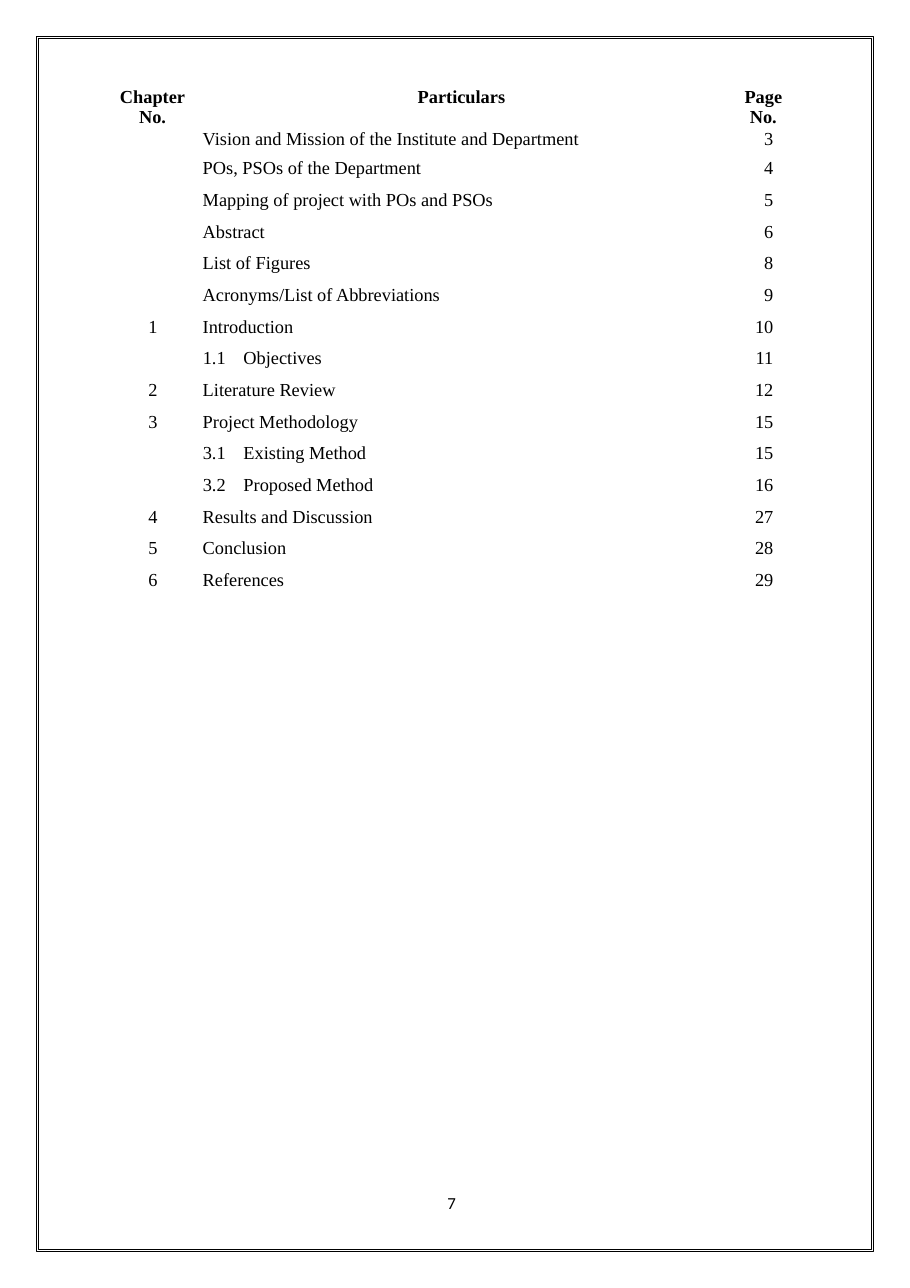
from dataclasses import dataclass

from pptx import Presentation
from pptx.dml.color import RGBColor
from pptx.enum.shapes import MSO_SHAPE as SHAPE
from pptx.enum.text import PP_ALIGN as ALIGN
from pptx.util import Inches, Pt

WIDTH, HEIGHT = Inches(8.26), Inches(11.69)


@dataclass(frozen=True)
class Theme:
    ink: RGBColor = RGBColor(0, 0, 0)
    body_font: str = "Times New Roman"
    folio_font: str = "Calibri"
    body_size: float = 12
    folio_size: float = 11
    rule: float = 0.5


THEME = Theme()

COLUMNS = (9.81, 4.48, 47.09, 14.89)
ROWS = (3.25, 2.05, *[2.46] * 13, 2.05)

HEADINGS = (
    (0, "Chapter\nNo.", 0.73),
    (2, "Particulars", 2.78),
    (3, "Page\nNo.", 7.14),
)
CONTENTS = (
    ("", "", "Vision and Mission of the Institute and Department", "3"),
    ("", "", "POs, PSOs of the Department", "4"),
    ("", "", "Mapping of project with POs and PSOs", "5"),
    ("", "", "Abstract", "6"),
    ("", "", "List of Figures", "8"),
    ("", "", "Acronyms/List of Abbreviations", "9"),
    ("1", "", "Introduction", "10"),
    ("", "1.1", "Objectives", "11"),
    ("2", "", "Literature Review", "12"),
    ("3", "", "Project Methodology", "15"),
    ("", "3.1", "Existing Method", "15"),
    ("", "3.2", "Proposed Method", "16"),
    ("4", "", "Results and Discussion", "27"),
    ("5", "", "Conclusion", "28"),
    ("6", "", "References", "29"),
)


def across(percent):
    return round(WIDTH * percent / 100)


def down(percent):
    return round(HEIGHT * percent / 100)


def area(x, y, w, h):
    return across(x), down(y), across(w), down(h)


def write(tf, text, font=THEME.body_font, size=THEME.body_size, bold=False,
          align=ALIGN.LEFT, line=None, before=0):
    for i, words in enumerate(text.split("\n")):
        p = tf.add_paragraph() if i else tf.paragraphs[0]
        p.alignment = align
        p.space_before = Pt(before)
        if line:
            p.line_spacing = Pt(line)
        r = p.add_run()
        r.text = words
        r.font.name, r.font.size, r.font.bold = font, Pt(size), bold
        r.font.color.rgb = THEME.ink


def add_frame(slide, inset):
    x, y, w, h = area(4, 2.82, 92.01, 94.35)
    gap = Pt(inset)
    s = slide.shapes.add_shape(SHAPE.RECTANGLE, x + gap, y + gap,
                               w - 2 * gap, h - 2 * gap)
    s.shadow.inherit = False
    s.fill.background()
    s.line.color.rgb = THEME.ink
    s.line.width = Pt(THEME.rule)


def clear_cell(cell):
    cell.fill.background()
    cell.margin_left = cell.margin_right = 0
    cell.margin_top = cell.margin_bottom = 0
    end = cell.text_frame.paragraphs[0]._p.get_or_add_endParaRPr()
    end.set("sz", str(THEME.body_size * 100))


def fill_cell(cell, text, left=0, right=0, top=0, **style):
    cell.margin_left, cell.margin_right = across(left), across(right)
    cell.margin_top = down(top)
    write(cell.text_frame, text, **style)


def add_entry(table, row, entry):
    chapter, section, title, page = entry
    style = dict(line=13.3) if row == 1 else dict(top=0.26, before=2.4)
    if chapter:
        fill_cell(table.cell(row, 0), chapter, right=4, align=ALIGN.RIGHT, **style)
    if section:
        fill_cell(table.cell(row, 1), section, align=ALIGN.CENTER, **style)
    else:
        table.cell(row, 1).merge(table.cell(row, 2))
    fill_cell(table.cell(row, 2 if section else 1), title, left=0.97, **style)
    fill_cell(table.cell(row, 3), page, right=2.78, align=ALIGN.RIGHT, **style)


def add_contents(slide):
    place = area(11.5, 6.76, sum(COLUMNS), sum(ROWS))
    table = slide.shapes.add_table(len(ROWS), len(COLUMNS), *place).table
    table.first_row = table.horz_banding = False
    for column, share in zip(table.columns, COLUMNS):
        column.width = across(share)
    for row, share in zip(table.rows, ROWS):
        row.height = down(share)
    for cell in table.iter_cells():
        clear_cell(cell)
    for column, text, left in HEADINGS:
        fill_cell(table.cell(0, column), text, left=left, bold=True,
                  align=ALIGN.CENTER, line=13.2)
    for row, entry in enumerate(CONTENTS, 1):
        add_entry(table, row, entry)


def add_folio(slide, number):
    tf = slide.shapes.add_textbox(*area(48.67, 92.81, 2.91, 1.54)).text_frame
    tf.word_wrap = True
    tf.margin_left = across(0.48)
    tf.margin_right = tf.margin_top = tf.margin_bottom = 0
    write(tf, number, font=THEME.folio_font, size=THEME.folio_size, line=11.5)


def main():
    prs = Presentation()
    prs.slide_width, prs.slide_height = WIDTH, HEIGHT
    slide = prs.slides.add_slide(prs.slide_layouts[6])
    add_contents(slide)
    for inset in (0.25, 1.25):
        add_frame(slide, inset)
    add_folio(slide, "7")
    prs.save("out.pptx")


if __name__ == "__main__":
    main()
